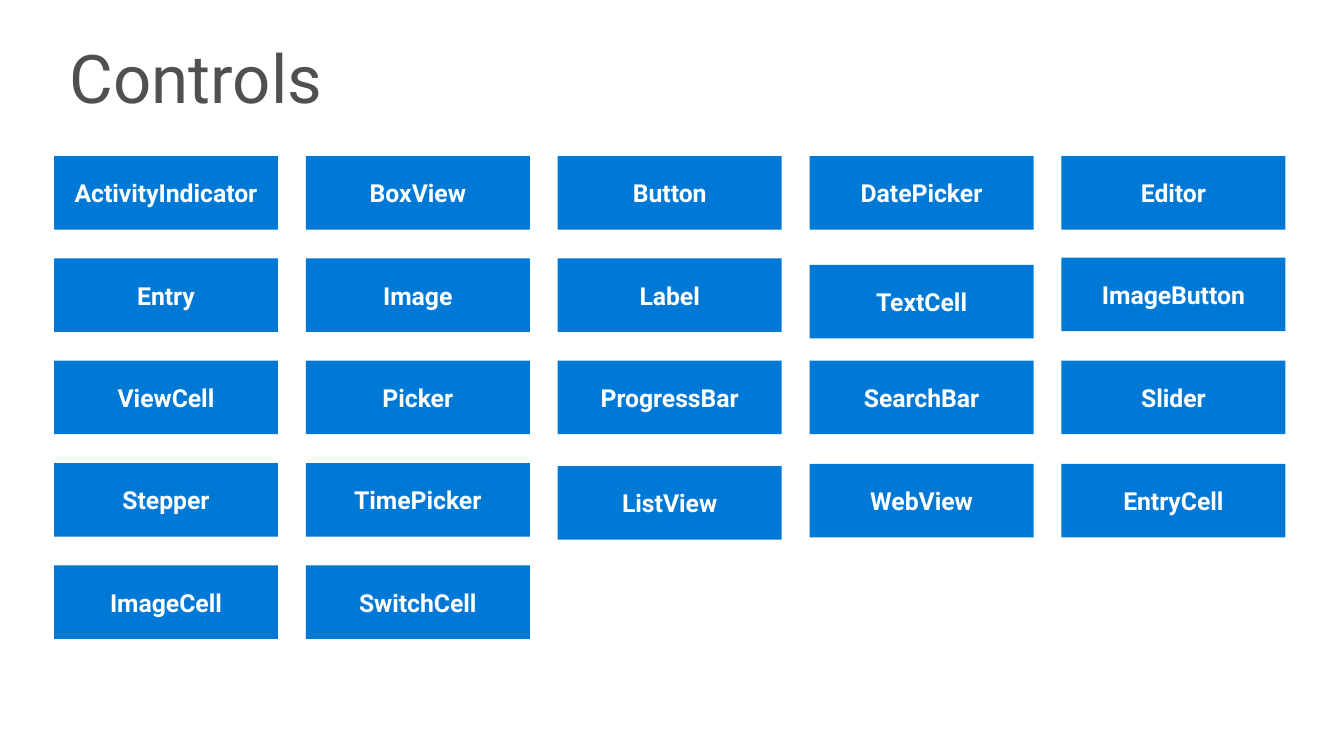
from pptx import Presentation
from pptx.dml.color import RGBColor
from pptx.enum.shapes import MSO_SHAPE as Preset
from pptx.enum.text import MSO_ANCHOR as Anchor, MSO_AUTO_SIZE as AutoSize, PP_ALIGN as Align
from pptx.util import Pt

BLUE = RGBColor(0x00, 0x79, 0xD6)
GREY = RGBColor(0x50, 0x50, 0x50)
WHITE = RGBColor(0xFF, 0xFF, 0xFF)

CONTROLS = [
    ["ActivityIndicator", "BoxView", "Button", "DatePicker", "Editor"],
    ["Entry", "Image", "Label", "TextCell", "ImageButton"],
    ["ViewCell", "Picker", "ProgressBar", "SearchBar", "Slider"],
    ["Stepper", "TimePicker", "ListView", "WebView", "EntryCell"],
    ["ImageCell", "SwitchCell"],
]
NUDGES = {"TextCell": 4.7, "ImageButton": -0.5, "ListView": 2.2,
          "WebView": 0.6, "EntryCell": 0.6}
GRID_LEFT, GRID_TOP = 38.6, 111.5
COLUMN_PITCH, ROW_PITCH = 179.9, 73.1
TILE_WIDTH, TILE_HEIGHT = 160, 52.5


def write(frame, text, size, color, bold=False, align=Align.LEFT, line_spacing=1.0):
    frame.word_wrap = True
    frame.auto_size = AutoSize.NONE
    frame.vertical_anchor = Anchor.MIDDLE
    paragraph = frame.paragraphs[0]
    paragraph.alignment = align
    paragraph.line_spacing = line_spacing
    run = paragraph.add_run()
    run.text = text
    run.font.name = "Roboto"
    run.font.size = Pt(size)
    run.font.bold = bold
    run.font.color.rgb = color


class Deck:
    def __init__(self):
        self.presentation = Presentation()
        self.presentation.slide_width = Pt(960)
        self.presentation.slide_height = Pt(540)
        self.slide = self.presentation.slides.add_slide(self.presentation.slide_layouts[5])

    def heading(self, text, left, top, width, height):
        heading = self.slide.shapes.title
        heading.left, heading.top = Pt(left), Pt(top)
        heading.width, heading.height = Pt(width), Pt(height)
        write(heading.text_frame, text, size=48, color=GREY, line_spacing=0.9)

    def tile(self, text, left, top):
        tile = self.slide.shapes.add_shape(Preset.ROUNDED_RECTANGLE, Pt(left), Pt(top),
                                           Pt(TILE_WIDTH), Pt(TILE_HEIGHT))
        tile.adjustments[0] = 0
        tile.shadow.inherit = False
        tile.fill.solid()
        tile.fill.fore_color.rgb = BLUE
        tile.line.fill.background()
        write(tile.text_frame, text, size=17.7, color=WHITE, bold=True, align=Align.CENTER)


def main():
    deck = Deck()
    deck.heading("Controls", 42.5, 22.3, 917.5, 72.7)
    for row, names in enumerate(CONTROLS):
        for column, name in enumerate(names):
            deck.tile(name, GRID_LEFT + column * COLUMN_PITCH,
                      GRID_TOP + row * ROW_PITCH + NUDGES.get(name, 0))
    deck.presentation.save("out.pptx")


if __name__ == "__main__":
    main()
